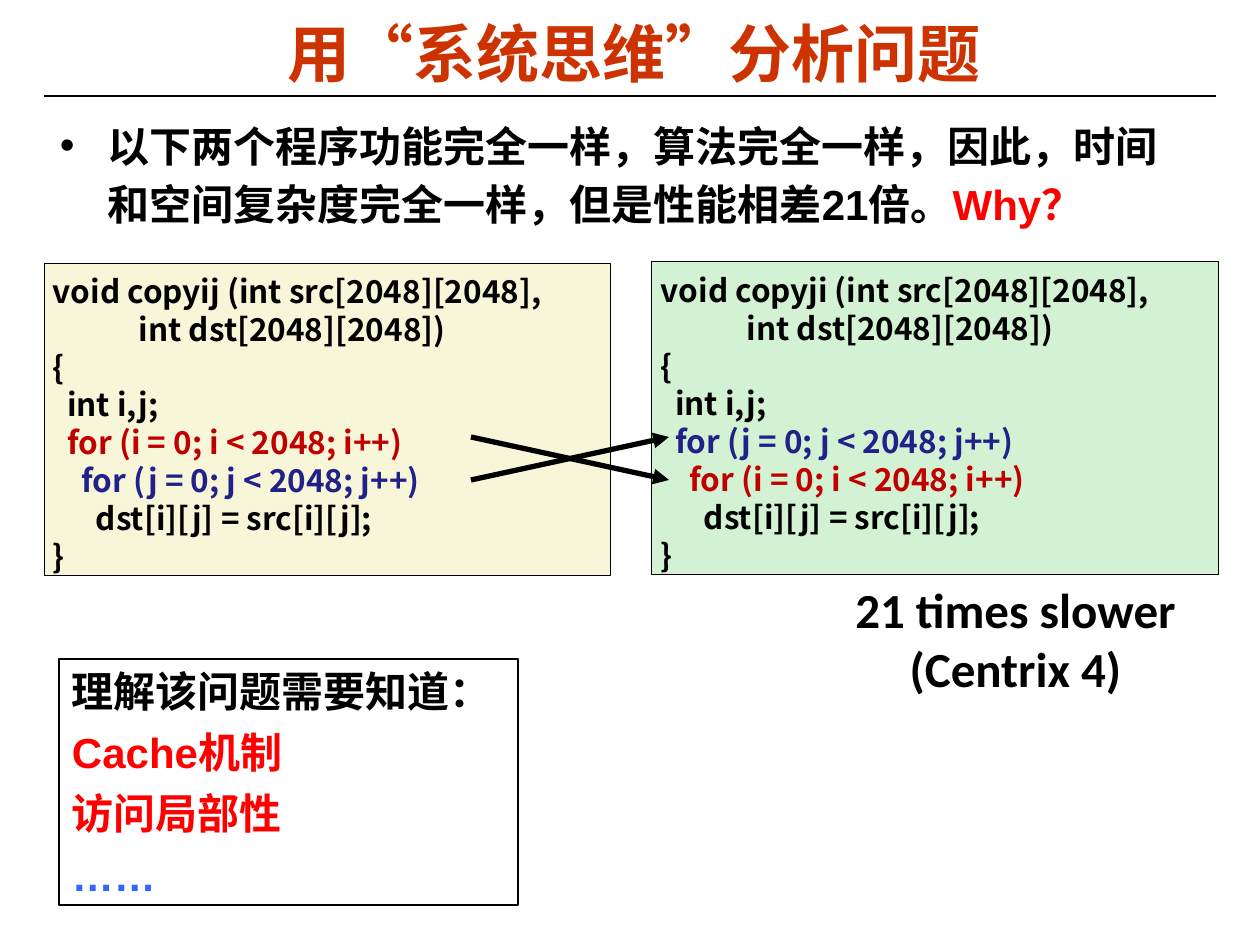
from lxml import etree
from pptx import Presentation
from pptx.dml.color import RGBColor
from pptx.enum.shapes import MSO_CONNECTOR, MSO_SHAPE
from pptx.enum.text import MSO_ANCHOR, PP_ALIGN
from pptx.oxml.ns import qn
from pptx.util import Emu, Pt

PX = 914400 // 126
CENTER, LEFT = PP_ALIGN.CENTER, PP_ALIGN.LEFT
TOP, MIDDLE = MSO_ANCHOR.TOP, MSO_ANCHOR.MIDDLE
CJK = "Noto Sans CJK SC"
COLORS = {
    "title": "CC3300", "black": "000000", "red": "FF0000", "dots": "3366FF",
    "i": "C00000", "j": "21218A", "cream": "F8F6D9", "mint": "D3F2D3",
}

# Each paragraph is a list of (text, colour) runs.
TITLE = [[("用“系统思维”分析问题", "title")]]
CLAIM = [[("以下两个程序功能完全一样，算法完全一样，因此，时间和空间复杂度完全一样，"
           "但是性能相差21倍。", "black"), ("Why？", "red")]]
RESULT = [[("21 times slower", "black")], [("(Centrix 4)", "black")]]
NEEDED = [
    [("理解该问题需要知道：", "black")],
    [("Cache机制", "red")],
    [("访问局部性", "red")],
    [("……", "dots")],
]
# Loop order (outer, inner), box and fill of each program
PROGRAMS = [
    ("ji", (652, 262, 567, 313), "mint"),
    ("ij", (44, 263, 567, 313), "cream"),
]
ARROW_LEFT, ARROW_RIGHT, OUTER_Y, INNER_Y = 471, 669, 437, 480


def px(*values):
    return [Emu(v * PX) for v in values]


def rgb(name):
    return RGBColor.from_string(COLORS[name])


def program_lines(order):
    """Code of the copy function whose loops run in the given order."""
    outer, inner = order
    return [
        [(f"void copy{order} (int src[2048][2048],", "black")],
        [("            int dst[2048][2048])", "black")],
        [("{", "black")],
        [("  int i,j;", "black")],
        [(f"  for ({outer} = 0; {outer} < 2048; {outer}++)", outer)],
        [(f"    for ({inner} = 0; {inner} < 2048; {inner}++)", inner)],
        [("      dst[i][j] = src[i][j];", "black")],
        [("}", "black")],
    ]


def write(sp, paragraphs, font, size, inset, align=LEFT, anchor=TOP,
          wrap=True, pitch=None, gap=0):
    tf = sp.text_frame
    tf.word_wrap, tf.vertical_anchor = wrap, anchor
    tf.margin_left, tf.margin_top, tf.margin_right, tf.margin_bottom = px(*inset)
    for n, runs in enumerate(paragraphs):
        p = tf.add_paragraph() if n else tf.paragraphs[0]
        p.alignment = align
        p.space_before = Pt(gap if n else 0)
        if pitch:
            p.line_spacing = Pt(pitch)
        p.font.name, p.font.size, p.font.bold = font, Pt(size), True
        latin = p.font._element.find(qn("a:latin"))
        latin.addnext(latin.makeelement(qn("a:ea"), {"typeface": CJK}))
        for text, color in runs:
            r = p.add_run()
            r.text = text
            r.font.color.rgb = rgb(color)
    return tf


def add_box(slide, box, fill, width):
    sp = slide.shapes.add_shape(MSO_SHAPE.RECTANGLE, *px(*box))
    sp.shadow.inherit = False
    if fill:
        sp.fill.solid()
        sp.fill.fore_color.rgb = rgb(fill)
    else:
        sp.fill.background()
    sp.line.color.rgb, sp.line.width = rgb("black"), Pt(width)
    return sp


def add_line(slide, ends, width, arrow=False):
    line = slide.shapes.add_connector(MSO_CONNECTOR.STRAIGHT, *px(*ends))
    line.line.color.rgb, line.line.width = rgb("black"), Pt(width)
    props = line._element.spPr
    if arrow:
        etree.SubElement(props.find(qn("a:ln")), qn("a:tailEnd"), type="triangle")
    etree.SubElement(props, qn("a:effectLst"))


def add_bullet(p, indent):
    pPr = p._p.get_or_add_pPr()
    pPr.set("marL", str(indent * PX))
    pPr.set("indent", str(-indent * PX))
    bullet = pPr.makeelement(qn("a:buChar"), {"char": "•"})
    font = pPr.makeelement(qn("a:buFont"), {"typeface": "Arial"})
    color = pPr.makeelement(qn("a:buClr"), {})
    etree.SubElement(color, qn("a:srgbClr"), val=COLORS["black"])
    for element in (color, font, bullet):
        pPr.find(qn("a:defRPr")).addprevious(element)


def main():
    prs = Presentation()
    prs.slide_width, prs.slide_height = px(1260, 945)
    slide = prs.slides.add_slide(prs.slide_layouts[5])

    add_line(slide, (44, 96, 1216, 96), 0.75)
    title = slide.shapes.title
    title.left, title.top, title.width, title.height = px(67, 14, 1134, 77)
    write(title, TITLE, "Arial", 36, (13, 6, 13, 6), CENTER, MIDDLE)

    claim = slide.shapes.add_textbox(*px(47, 107, 1134, 136))
    tf = write(claim, CLAIM, "Arial", 24, (13, 6, 13, 6), pitch=33)
    add_bullet(tf.paragraphs[0], 48)

    for order, box, fill in PROGRAMS:
        sp = add_box(slide, box, fill, 0.5)
        write(sp, program_lines(order), CJK, 18, (9, 9, 9, 9), pitch=21.6)

    for start, end in ((OUTER_Y, INNER_Y), (INNER_Y, OUTER_Y)):
        add_line(slide, (ARROW_LEFT, start, ARROW_RIGHT, end), 3, arrow=True)

    result = slide.shapes.add_textbox(*px(850, 575, 331, 128))
    write(result, RESULT, "Calibri", 28, (5, 5, 5, 5), CENTER, wrap=False)

    needed = add_box(slide, (59, 659, 459, 246), None, 0.75)
    write(needed, NEEDED, "Arial", 24, (13, 6, 13, 6), pitch=29, gap=6)

    prs.save("out.pptx")


if __name__ == "__main__":
    main()
